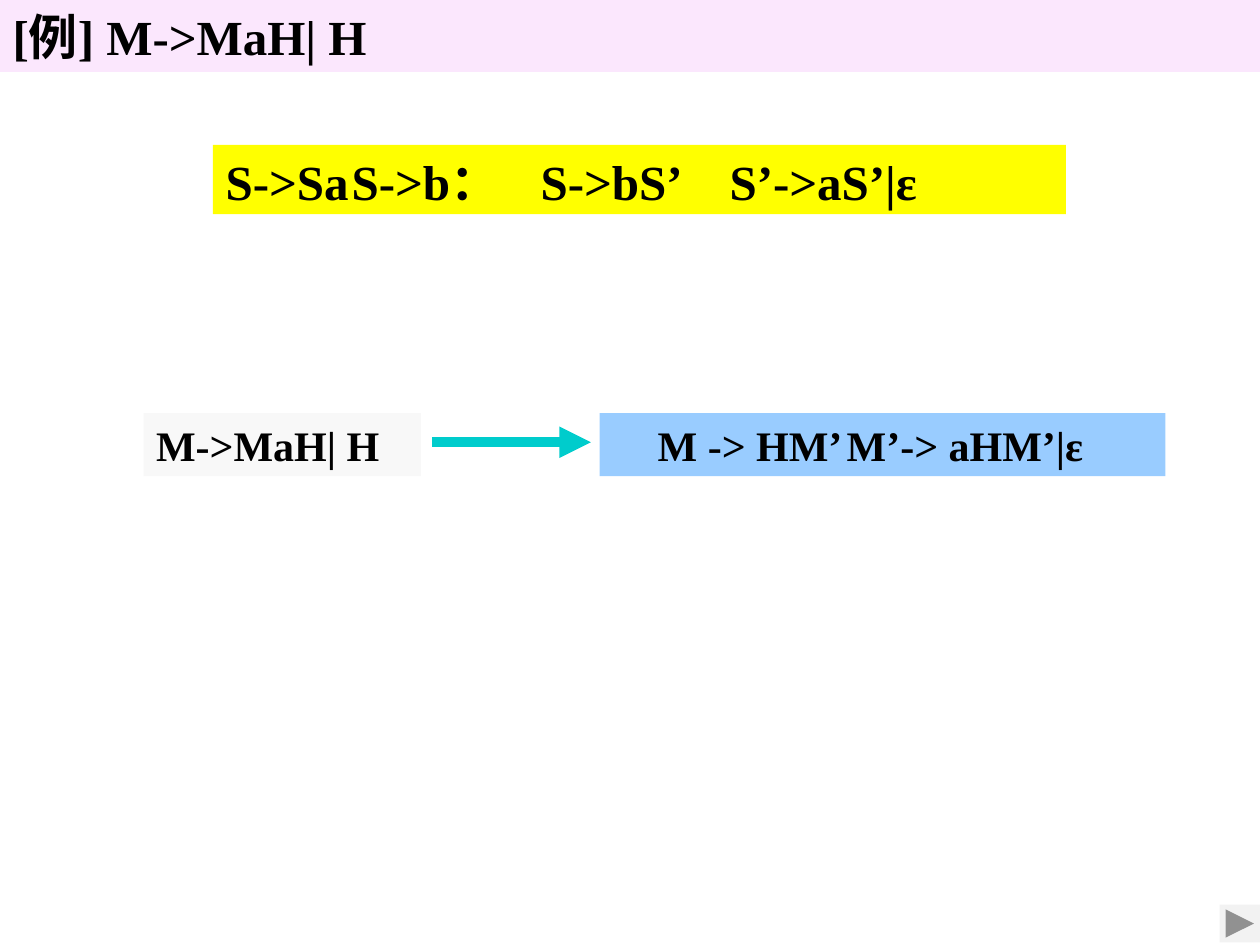
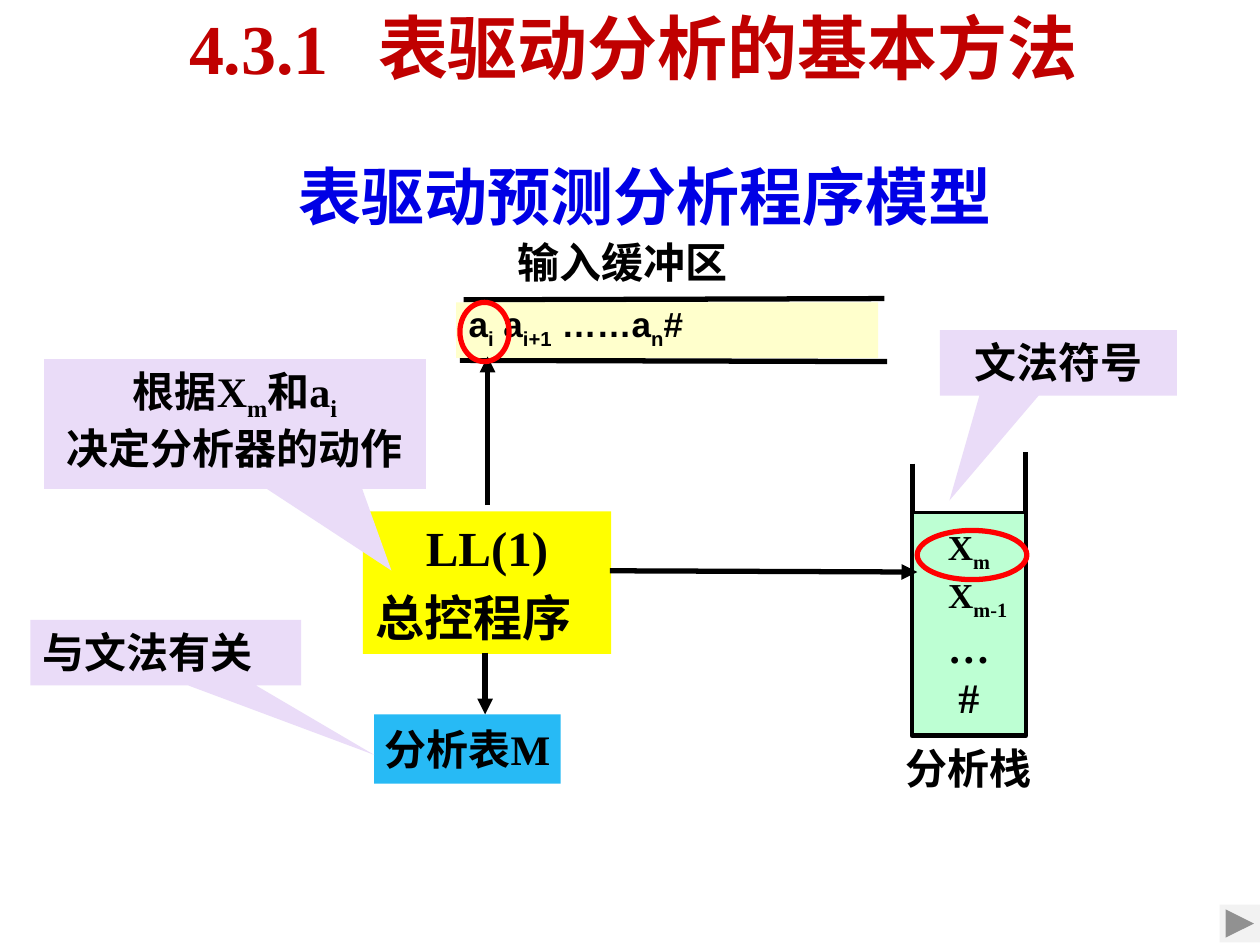
import pptx
import pptx.dml.color
import pptx.enum.shapes
import pptx.enum.text
import pptx.oxml.ns
import pptx.util
from lxml import etree

Inches = pptx.util.Inches
Pt = pptx.util.Pt
Kind = pptx.enum.shapes.MSO_SHAPE
Align = pptx.enum.text.PP_ALIGN
Anchor = pptx.enum.text.MSO_ANCHOR
qn = pptx.oxml.ns.qn


class Theme:
    ink = "000000"
    band = "FBE7FD"
    rule = "FFFF00"
    pale = "F8F8F8"
    sky = "99CCFF"
    teal = "00CCCC"
    tape = "FFFFCC"
    table = "27BAF5"
    stack = "BDFFD3"
    note = "EADCF8"
    ring = "FF0000"
    head = "C00000"
    sub = "0000E5"
    button = "F2F2F2"
    serif = "Times New Roman"
    sans = "Arial"
    asian = "Noto Sans CJK SC"
    small, text, large, title, top = 20, 24, 28, 36, 40
    thin, line, arrow = 1.75, 3, 6


RULES = {
    "title": "[例] M->MaH| H",
    "form": "S->Sa\tS->b：\tS->bS’\tS’->aS’|ε",
    "from": "M->MaH| H",
    "to": "M -> HM’\tM’-> aHM’|ε",
}

MODEL = {
    "title": "4.3.1\t表驱动分析的基本方法",
    "tape": "a_i_ a_i+1_ ……a_n_#",
    "table": "分析表M",
    "driver": ["LL(1)", "总控程序"],
    "stack": ["X_m_", "X_m-1_", "…", "#"],
}

LABELS = [
    ("表驱动预测分析程序模型", (2.27, 1.2, 5.72, 0.76), Theme.title, Theme.sub, (0.1, 0.05)),
    ("输入缓冲区", (4.11, 1.88, 1.72, 0.44), Theme.text, Theme.ink, (0, 0)),
    ("分析栈", (7.19, 5.89, 1.05, 0.4), Theme.text, Theme.ink, (0, 0)),
]

NOTES = [
    (["根据X_m_和a_i_", "决定分析器的动作"], (0.35, 2.85, 3.03, 1.03), (0.41, 1.13), Align.CENTER),
    (["与文法有关"], (0.24, 4.92, 2.15, 0.52), (0.77, 1.56), Align.LEFT),
    (["文法符号"], (7.46, 2.62, 1.88, 0.52), (-0.46, 2.1), Align.CENTER),
]

EDGES = [((3.68, 2.38), (7.02, 2.37)), ((3.65, 2.86), (7.04, 2.87))]
FLOWS = [
    ((3.87, 4.01), (3.87, 2.83)),
    ((4.84, 4.53), (7.28, 4.54)),
    ((3.85, 5.18), (3.85, 5.67)),
]
RINGS = [(3.65, 2.4, 0.39, 0.47), (7.28, 4.21, 0.87, 0.39)]
WALLS = [(7.24, 3.68), (7.24, 5.84), (8.14, 5.84), (8.14, 3.59)]


def tint(code):
    return pptx.dml.color.RGBColor.from_string(code)


def place(shape, box):
    shape.left, shape.top, shape.width, shape.height = map(Inches, box)


def paint(shape, fill=None, line=None, width=Theme.line):
    if fill:
        shape.fill.solid()
        shape.fill.fore_color.rgb = tint(fill)
    else:
        shape.fill.background()
    if line:
        shape.line.color.rgb = tint(line)
        shape.line.width = Pt(width)
    else:
        shape.line.fill.background()


def set_tabs(para, stops):
    props = para._p.get_or_add_pPr()
    props.set("marL", "0")
    props.set("indent", "0")
    etree.SubElement(props, qn("a:buNone"))
    if stops:
        tabs = etree.SubElement(props, qn("a:tabLst"))
        for stop in stops:
            etree.SubElement(tabs, qn("a:tab"), pos=str(Inches(stop)), algn="l")


def style(run, size, color, face, low):
    font = run.font
    font.size, font.bold, font.name = Pt(size), True, face
    font.color.rgb = tint(color)
    props = run._r.get_or_add_rPr()
    if low:
        props.set("baseline", "-25000")
    asian = etree.Element(qn("a:ea"), typeface=Theme.asian)
    props.find(qn("a:latin")).addnext(asian)


def write(shape, lines, size=Theme.text, color=Theme.ink, face=Theme.serif,
          align=Align.LEFT, anchor=Anchor.TOP, inset=(0.1, 0.05), stops=()):
    frame = shape.text_frame
    frame.word_wrap = True
    frame.auto_size = pptx.enum.text.MSO_AUTO_SIZE.NONE
    frame.vertical_anchor = anchor
    frame.margin_left = frame.margin_right = Inches(inset[0])
    frame.margin_top = frame.margin_bottom = Inches(inset[1])
    lines = [lines] if isinstance(lines, str) else lines
    frame.text = "\n".join(line.split("_")[0] for line in lines)
    for para, line in zip(frame.paragraphs, lines):
        set_tabs(para, stops)
        para.alignment = align
        para.space_before = Pt(0)
        for part in line.split("_")[1:]:
            if part:
                para.add_run().text = part
        parts = [(part, i % 2) for i, part in enumerate(line.split("_")) if part]
        for run, (_, low) in zip(para.runs, parts):
            style(run, size, color, face, low)
    return frame


def block(slide, box, fill=None, line=None, width=Theme.line, kind=Kind.RECTANGLE):
    shape = slide.shapes.add_shape(kind, *map(Inches, box))
    shape.shadow.inherit = False
    paint(shape, fill, line, width)
    return shape


def link(slide, start, end, color=Theme.ink, width=Theme.line, arrow=True):
    line = slide.shapes.add_connector(
        pptx.enum.shapes.MSO_CONNECTOR.STRAIGHT, *map(Inches, start + end))
    line.line.color.rgb = tint(color)
    line.line.width = Pt(width)
    if arrow:
        etree.SubElement(line.line._get_or_add_ln(), qn("a:tailEnd"), type="triangle")
    etree.SubElement(line._element.spPr, qn("a:effectLst"))


def start(deck, layout):
    slide = deck.slides.add_slide(deck.slide_layouts[layout])
    block(slide, (9.68, 7.18, 0.32, 0.3), Theme.button,
          kind=Kind.ACTION_BUTTON_FORWARD_OR_NEXT)
    return slide


def draw_rules(deck):
    slide = start(deck, 1)
    title, body = slide.shapes.title, slide.placeholders[1]
    place(title, (0, 0, 10, 0.57))
    paint(title, Theme.band)
    write(title, RULES["title"], Theme.large)
    place(body, (1.69, 1.15, 6.77, 0.55))
    paint(body, Theme.rule)
    write(body, RULES["form"], Theme.large, stops=(1.18, 2.81, 4.09))
    write(block(slide, (1.14, 3.28, 2.2, 0.5), Theme.pale), RULES["from"])
    link(slide, (3.43, 3.51), (4.69, 3.51), Theme.teal, Theme.arrow)
    write(block(slide, (4.76, 3.28, 4.49, 0.5), Theme.sky), RULES["to"],
          inset=(0.46, 0.05), stops=(1.69,))


def draw_stack(slide):
    pen = slide.shapes.build_freeform(*map(Inches, WALLS[0]), scale=1.0)
    pen.add_line_segments([tuple(map(Inches, spot)) for spot in WALLS[1:]], close=False)
    walls = pen.convert_to_shape()
    walls.shadow.inherit = False
    paint(walls, line=Theme.ink)
    stack = block(slide, (7.24, 4.07, 0.9, 1.76), Theme.stack, Theme.ink, Theme.thin)
    frame = write(stack, MODEL["stack"], Theme.small, align=Align.CENTER,
                  anchor=Anchor.MIDDLE, inset=(0, 0.05))
    frame.paragraphs[1]._p.get_or_add_pPr().set("marL", str(Inches(0.14)))
    for para in frame.paragraphs[2:]:
        para.runs[0].font.size = Pt(Theme.text)


def draw_model(deck):
    slide = start(deck, 5)
    title = slide.shapes.title
    place(title, (1.4, 0.06, 7.64, 0.62))
    write(title, MODEL["title"], Theme.top, Theme.head, anchor=Anchor.MIDDLE, stops=(1.54,))
    for edge in EDGES:
        link(slide, *edge, arrow=False)
    tape = write(block(slide, (3.62, 2.4, 3.35, 0.44), Theme.tape),
                 MODEL["tape"], Theme.small, face=Theme.sans)
    tape.paragraphs[0].line_spacing = Pt(24)
    write(block(slide, (2.97, 5.67, 1.48, 0.55), Theme.table), MODEL["table"],
          align=Align.CENTER, anchor=Anchor.MIDDLE, inset=(0.02, 0))
    driver = write(block(slide, (2.88, 4.06, 1.97, 1.13), Theme.rule),
                   MODEL["driver"], Theme.large)
    driver.paragraphs[0].alignment = Align.CENTER
    driver.paragraphs[1].space_before = Pt(6)
    for text, box, size, color, inset in LABELS:
        label = slide.shapes.add_textbox(*map(Inches, box))
        write(label, text, size, color, Theme.asian, inset=inset)
    draw_stack(slide)
    for flow in FLOWS:
        link(slide, *flow)
    for ring in RINGS:
        block(slide, ring, line=Theme.ring, kind=Kind.OVAL)
    for lines, box, tip, align in NOTES:
        note = block(slide, box, Theme.note, kind=Kind.RECTANGULAR_CALLOUT)
        note.adjustments[0], note.adjustments[1] = tip
        write(note, lines, align=align)


def main():
    deck = pptx.Presentation()
    deck.slide_width, deck.slide_height = Inches(10), Inches(7.5)
    draw_rules(deck)
    draw_model(deck)
    deck.save("out.pptx")


if __name__ == "__main__":
    main()
